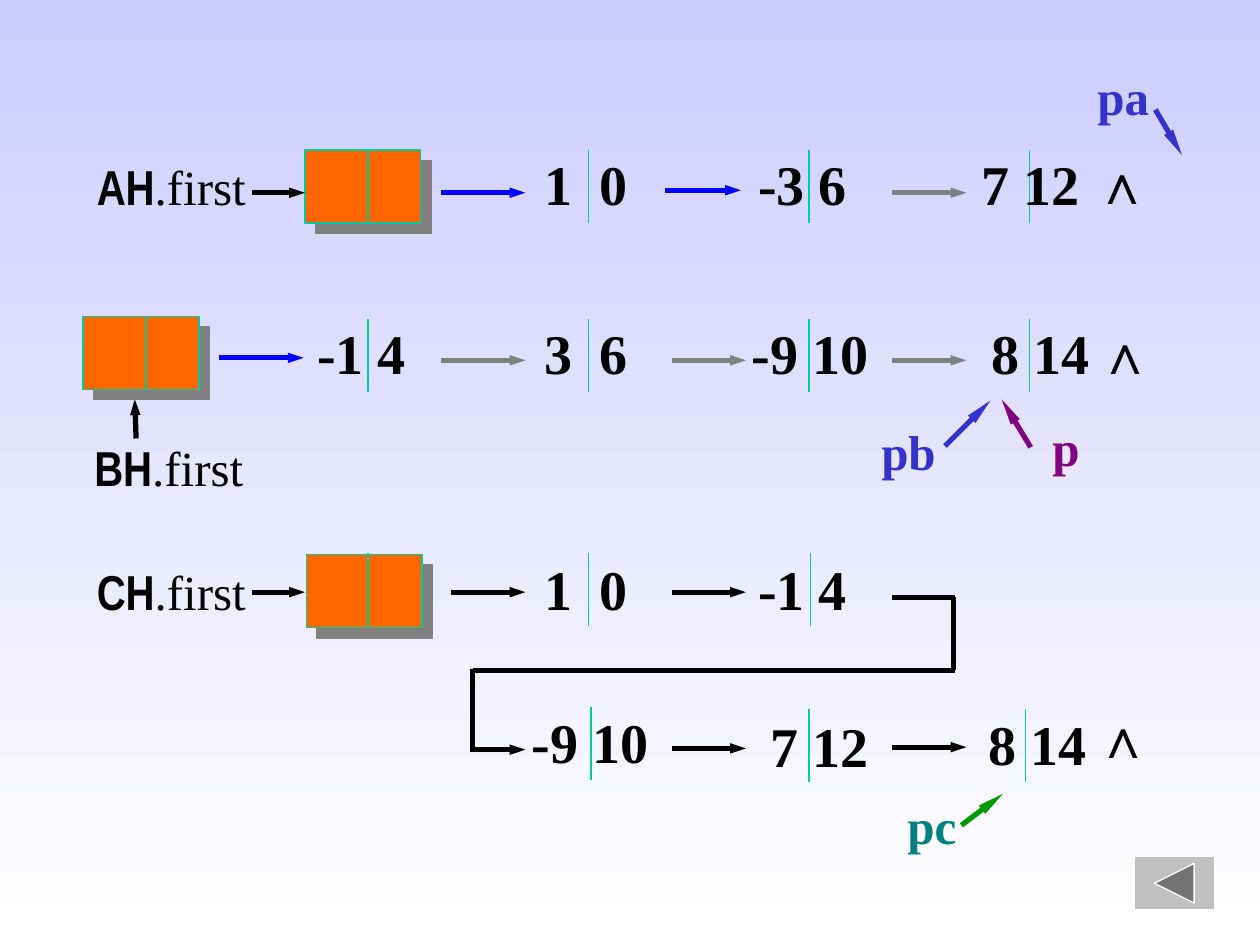
from dataclasses import dataclass
from typing import Optional

from lxml.etree import SubElement
from pptx import Presentation
from pptx.dml.color import RGBColor
from pptx.enum.shapes import MSO_CONNECTOR, MSO_SHAPE
from pptx.enum.text import MSO_ANCHOR, PP_ALIGN
from pptx.oxml.ns import qn
from pptx.util import Inches, Pt

BLACK = RGBColor(0x00, 0x00, 0x00)
WHITE = RGBColor(0xFF, 0xFF, 0xFF)
LAVENDER = RGBColor(0xCC, 0xCC, 0xFF)
ORANGE = RGBColor(0xFF, 0x66, 0x00)
MINT = RGBColor(0x00, 0xCC, 0x99)
GREY = RGBColor(0x80, 0x80, 0x80)
SILVER = RGBColor(0xC0, 0xC0, 0xC0)
BLUE = RGBColor(0x00, 0x00, 0xFF)
INDIGO = RGBColor(0x33, 0x33, 0xCC)
GREEN = RGBColor(0x00, 0x99, 0x00)
TEAL = RGBColor(0x00, 0x80, 0x80)
PURPLE = RGBColor(0x80, 0x00, 0x80)
SERIF, NARROW = "Times New Roman", "Arial Narrow"


@dataclass(frozen=True)
class Stroke:
    x1: float
    y1: float
    x2: float
    y2: float
    color: RGBColor = BLACK
    head: Optional[str] = "med"  # arrowhead length, None for a plain line
    width: float = 3


@dataclass(frozen=True)
class Label:
    text: str
    left: float
    top: float
    width: float
    color: RGBColor = BLACK


@dataclass(frozen=True)
class HeadNode:
    name: str
    name_left: float
    name_top: float
    left: float
    top: float


HEAD_NODES = [
    HeadNode("AH", 0.67, 1.19, 2.42, 1.19),
    HeadNode("BH", 0.65, 3.42, 0.66, 2.51),
    HeadNode("CH", 0.67, 4.41, 2.43, 4.4),
]

# Dividers between coefficient and exponent: top -> x positions
DIVIDERS = {
    1.19: (2.92, 4.67, 6.42, 8.17),
    2.53: (2.92, 4.67, 6.42, 8.17),
    2.51: (1.16,),
    4.39: (2.92, 4.67, 6.43),
    5.61: (4.69,),
    5.63: (6.42, 8.14),
}

# Coefficient and exponent of each term, and the end-of-list marks
TERMS = [
    Label("1\t0", 4.22, 1.14, 0.9), Label("-3 6", 5.92, 1.14, 0.95),
    Label("7 12", 7.69, 1.14, 1.02), Label("∧", 8.59, 1.13, 0.5),
    Label("-1 4", 2.42, 2.48, 0.95), Label("3\t6", 4.22, 2.48, 0.9),
    Label("-9 10", 5.87, 2.48, 1.17), Label("8 14", 7.77, 2.48, 1.02),
    Label("∧", 8.61, 2.48, 0.5),
    Label("1\t0", 4.22, 4.35, 0.9), Label("-1 4", 5.92, 4.35, 0.95),
    Label("-9 10", 4.12, 5.57, 1.17), Label("7 12", 6.02, 5.6, 1.02),
    Label("8 14", 7.75, 5.58, 1.02), Label("∧", 8.6, 5.53, 0.5),
]

LINKS = [
    # List A
    Stroke(2, 1.53, 2.42, 1.53),
    Stroke(3.5, 1.53, 4.17, 1.53, BLUE),
    Stroke(5.28, 1.51, 5.88, 1.51, BLUE),
    Stroke(7.08, 1.53, 7.67, 1.53, GREY),
    # List B
    Stroke(1.08, 3.48, 1.07, 3.17),
    Stroke(1.74, 2.84, 2.41, 2.84, BLUE),
    Stroke(3.5, 2.86, 4.17, 2.86, GREY),
    Stroke(5.33, 2.86, 5.92, 2.86, GREY),
    Stroke(7.08, 2.86, 7.67, 2.86, GREY),
    # List C, with the bend to its second row
    Stroke(2, 4.7, 2.42, 4.7),
    Stroke(3.58, 4.7, 4.17, 4.7),
    Stroke(5.33, 4.7, 5.92, 4.7),
    Stroke(7.08, 4.74, 7.58, 4.74, head=None),
    Stroke(7.57, 4.74, 7.57, 5.32, head=None),
    Stroke(3.75, 5.32, 7.58, 5.32, head=None),
    Stroke(3.75, 5.97, 3.75, 5.31, head=None),
    Stroke(3.75, 5.95, 4.17, 5.95),
    Stroke(5.33, 5.94, 5.92, 5.94),
    Stroke(7.08, 5.93, 7.67, 5.93),
]

POINTERS = [
    (Label("pa", 8.61, 0.48, 0.61, INDIGO), Stroke(9.17, 0.87, 9.38, 1.23, INDIGO, "lg")),
    (Label("pb", 6.89, 3.29, 0.64, INDIGO), Stroke(7.5, 3.54, 7.86, 3.18, INDIGO, "lg")),
    (Label("p", 8.25, 3.26, 0.42, PURPLE), Stroke(8.18, 3.55, 7.95, 3.17, PURPLE, "lg")),
    (Label("pc", 7.1, 6.26, 0.59, TEAL), Stroke(7.63, 6.55, 7.96, 6.3, GREEN, "lg")),
]


def draw_stroke(slide, stroke: Stroke) -> None:
    connector = slide.shapes.add_connector(
        MSO_CONNECTOR.STRAIGHT, Inches(stroke.x1), Inches(stroke.y1),
        Inches(stroke.x2), Inches(stroke.y2))
    connector.line.color.rgb = stroke.color
    connector.line.width = Pt(stroke.width)
    if stroke.head:
        SubElement(connector.line._get_or_add_ln(), qn("a:tailEnd"),
                   type="triangle", w="sm", len=stroke.head)
    SubElement(connector._element.spPr, qn("a:effectLst"))


def add_run(paragraph, text: str, **formats) -> None:
    run = paragraph.add_run()
    run.text = text
    color = formats.pop("color", BLACK)
    for name, value in formats.items():
        setattr(run.font, name, value)
    run.font.color.rgb = color


def add_text_frame(slide, left: float, top: float, width: float, height: float):
    frame = slide.shapes.add_textbox(
        Inches(left), Inches(top), Inches(width), Inches(height)).text_frame
    frame.word_wrap = False
    return frame


def draw_term(slide, term: Label) -> None:
    paragraph = add_text_frame(slide, term.left, term.top, term.width, 0.63).paragraphs[0]
    if "\t" in term.text:
        tabs = SubElement(paragraph._p.get_or_add_pPr(), qn("a:tabLst"))
        SubElement(tabs, qn("a:tab"), pos=str(Inches(0.44)), algn="l")
    add_run(paragraph, term.text, name=SERIF, size=Pt(32), bold=True)


def draw_pointer_name(slide, label: Label) -> None:
    frame = add_text_frame(slide, label.left, label.top, label.width, 0.57)
    frame.vertical_anchor = MSO_ANCHOR.MIDDLE
    frame.paragraphs[0].alignment = PP_ALIGN.CENTER
    add_run(frame.paragraphs[0], label.text, name=SERIF, size=Pt(28), bold=True,
            color=label.color)


def draw_head_node(slide, node: HeadNode) -> None:
    box = slide.shapes.add_shape(MSO_SHAPE.RECTANGLE, Inches(node.left), Inches(node.top),
                                 Inches(0.92), Inches(0.58))
    box.fill.solid()
    box.fill.fore_color.rgb = ORANGE
    box.line.color.rgb = MINT
    box.line.width = Pt(0.75)
    box.shadow.inherit = False
    effects = box._element.spPr.find(qn("a:effectLst"))
    shadow = SubElement(effects, qn("a:outerShdw"), dist=str(Pt(8.5)),
                        dir=str(45 * 60000), algn="ctr", rotWithShape="0")
    SubElement(shadow, qn("a:srgbClr"), val=str(GREY))

    paragraph = add_text_frame(slide, node.name_left, node.name_top, 1.42, 0.57).paragraphs[0]
    add_run(paragraph, node.name, name=NARROW, size=Pt(28), bold=True)
    add_run(paragraph, ".first", name=SERIF, size=Pt(28), bold=False)


def draw_back_button(slide) -> None:
    button = slide.shapes.add_shape(MSO_SHAPE.ACTION_BUTTON_BACK_OR_PREVIOUS,
                                    Inches(9), Inches(6.8), Inches(0.64), Inches(0.42))
    button.fill.solid()
    button.fill.fore_color.rgb = SILVER
    button.line.color.rgb = WHITE
    button.line.width = Pt(0)
    button.shadow.inherit = False


def main() -> None:
    deck = Presentation()
    deck.slide_width, deck.slide_height = Inches(10), Inches(7.5)
    slide = deck.slides.add_slide(deck.slide_layouts[6])

    # Background, lavender at the top to white at the bottom
    backdrop = slide.background.fill
    backdrop.gradient()
    backdrop.gradient_angle = 270
    for stop, color in zip(backdrop.gradient_stops, (LAVENDER, WHITE)):
        stop.color.rgb = color

    # Linked lists
    for node in HEAD_NODES:
        draw_head_node(slide, node)
    for top, positions in DIVIDERS.items():
        for x in positions:
            draw_stroke(slide, Stroke(x, top, x, top + 0.58, MINT, None, 0.75))
    for term in TERMS:
        draw_term(slide, term)
    for link in LINKS:
        draw_stroke(slide, link)

    # Pointers and navigation
    for label, arrow in POINTERS:
        draw_pointer_name(slide, label)
        draw_stroke(slide, arrow)
    draw_back_button(slide)

    deck.save("out.pptx")


if __name__ == "__main__":
    main()
